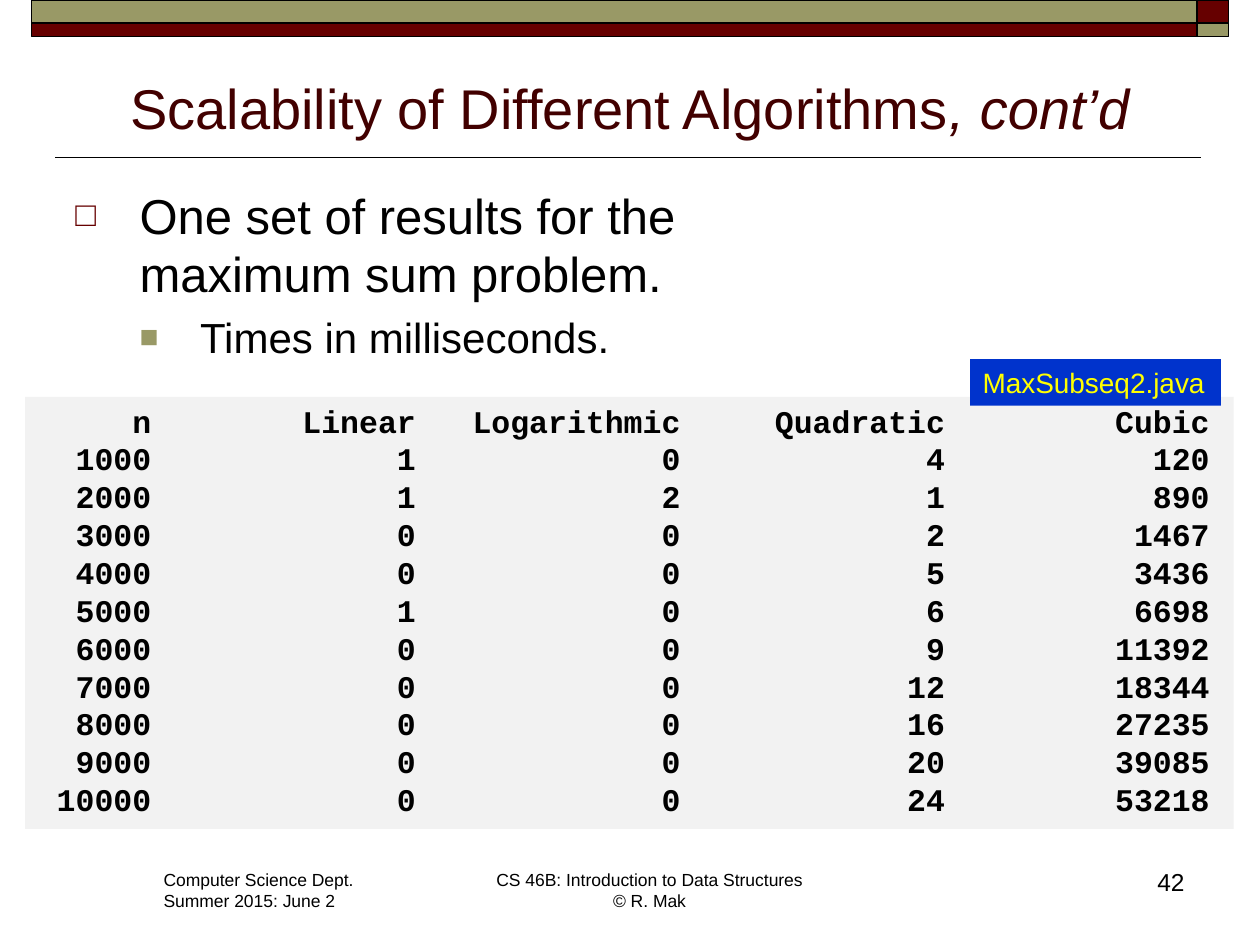
"""Build the slide on algorithm scalability on a grid of 40 columns by 30 rows."""
from dataclasses import dataclass

from lxml.etree import SubElement as Sub
from pptx import Presentation as Deck
from pptx.dml.color import RGBColor as Color
from pptx.enum.shapes import MSO_CONNECTOR as Link, MSO_SHAPE as Form
from pptx.enum.text import MSO_ANCHOR as Anchor, MSO_AUTO_SIZE as Fit, PP_ALIGN as Align
from pptx.oxml.ns import qn
from pptx.util import Inches, Pt


@dataclass(frozen=True)
class Theme:
    sans: str = "Arial"
    mono: str = "Courier New"
    ink: str = "000000"
    wine: str = "660000"
    olive: str = "999966"
    dark: str = "420000"
    pale: str = "F2F2F2"
    blue: str = "0033CC"
    yellow: str = "FFFF00"
    title: int = 32
    body: int = 28
    sub: int = 24
    code: int = 18
    tag: int = 16
    page: int = 14
    foot: int = 10


LOOK = Theme()
CELL = 0.25
PLAIN = "{2D5ABB26-0587-4C30-8999-92F81FD0307C}"
HEADS = ("n", "Linear", "Logarithmic", "Quadratic", "Cubic")
TIMES = (
    (1000, 1, 0, 4, 120),
    (2000, 1, 2, 1, 890),
    (3000, 0, 0, 2, 1467),
    (4000, 0, 0, 5, 3436),
    (5000, 1, 0, 6, 6698),
    (6000, 0, 0, 9, 11392),
    (7000, 0, 0, 12, 18344),
    (8000, 0, 0, 16, 27235),
    (9000, 0, 0, 20, 39085),
    (10000, 0, 0, 24, 53218),
)


def grid(*cells):
    return [Inches(cell * CELL) for cell in cells]


def write(para, text, size, color=LOOK.ink, font=LOOK.sans, bold=False,
          italic=False, align=None):
    if align is not None:
        para.alignment = align
    for i, line in enumerate(text.split("\n")):
        if i:
            para.add_line_break()
        run = para.add_run()
        run.text = line
        face = run.font
        face.name, face.size = font, Pt(size)
        face.bold, face.italic = bold, italic
        face.color.rgb = Color.from_string(color)


def block(slide, place, fill, edge=None):
    shape = slide.shapes.add_shape(Form.RECTANGLE, *grid(*place))
    shape.shadow.inherit = False
    shape.fill.solid()
    shape.fill.fore_color.rgb = Color.from_string(fill)
    if edge:
        shape.line.color.rgb = Color.from_string(edge)
        shape.line.width = Pt(1)
    else:
        shape.line.fill.background()
    return shape


def rule(slide, left, right, row):
    line = slide.shapes.add_connector(Link.STRAIGHT, *grid(left, row, right, row))
    line.line.color.rgb = Color.from_string(LOOK.ink)
    line.line.width = Pt(1)
    Sub(line._element.spPr, qn("a:effectLst"))


def label(slide, place, lines, size, wrap=False, align=None):
    frame = slide.shapes.add_textbox(*grid(*place)).text_frame
    frame.word_wrap = wrap
    for i, text in enumerate(lines):
        para = frame.add_paragraph() if i else frame.paragraphs[0]
        write(para, text, size, align=align)


def bullet(para, mark, color, share, left, hang):
    props = para._p.get_or_add_pPr()
    props.set("marL", str(Inches(left)))
    props.set("indent", str(-Inches(hang)))
    tint = Sub(props, qn("a:buClr"))
    Sub(tint, qn("a:srgbClr"), val=color)
    Sub(props, qn("a:buSzPct"), val=str(share * 1000))
    Sub(props, qn("a:buFont"), typeface=LOOK.sans)
    Sub(props, qn("a:buChar"), char=mark)


def header(slide):
    for left, width, fills in ((38, 1, (LOOK.wine, LOOK.olive)),
                               (1, 37, (LOOK.olive, LOOK.wine))):
        for top, height, fill in zip((0, 0.72), (0.72, 0.44), fills):
            block(slide, (left, top, width, height), fill, LOOK.ink)
    rule(slide, 1.76, 38.12, 5)


def title(slide):
    shape = slide.shapes.title
    shape.left, shape.top, shape.width, shape.height = grid(2, 1.8, 36, 2.88)
    frame = shape.text_frame
    frame.auto_size = Fit.NONE
    frame.vertical_anchor = Anchor.BOTTOM
    para = frame.paragraphs[0]
    write(para, "Scalability of Different Algorithms", LOOK.title, LOOK.dark,
          align=Align.CENTER)
    write(para, ", cont’d", LOOK.title, LOOK.dark, italic=True)


def points(slide):
    frame = slide.shapes.add_textbox(*grid(2, 5.68, 36, 6.52)).text_frame
    frame.word_wrap = True
    first, second = frame.paragraphs[0], frame.add_paragraph()
    second.level = 1
    for para, size in ((first, LOOK.body), (second, LOOK.sub)):
        para.space_before = Pt(size * 0.2)
    bullet(first, "□", LOOK.wine, 70, 0.51, 0.51)
    bullet(second, "■", LOOK.olive, 75, 0.99, 0.48)
    write(first, "One set of results for the \nmaximum sum problem.", LOOK.body)
    write(second, "Times in milliseconds.", LOOK.sub)


def results(slide):
    block(slide, (0.8, 12.6, 38.36, 13.72), LOOK.pale)
    rows = (HEADS, *TIMES)
    widths = (3.6, 8.4, 8.4, 8.4, 8.4)
    place = grid(1.2, 12.88, sum(widths), 1.2 * len(rows))
    table = slide.shapes.add_table(len(rows), len(HEADS), *place).table
    table.first_row = table.horz_banding = False
    table._tbl.tblPr.find(qn("a:tableStyleId")).text = PLAIN
    for col, width in zip(table.columns, grid(*widths)):
        col.width = width
    for r, row in enumerate(rows):
        for c, value in enumerate(row):
            cell = table.cell(r, c)
            cell.fill.background()
            cell.margin_left = cell.margin_right = 0
            cell.margin_top = cell.margin_bottom = 0
            cell.vertical_anchor = Anchor.MIDDLE
            write(cell.text_frame.paragraphs[0], str(value), LOOK.code,
                  font=LOOK.mono, bold=True, align=Align.RIGHT)


def tag(slide):
    frame = block(slide, (30.8, 11.4, 7.96, 1.48), LOOK.blue).text_frame
    frame.word_wrap = False
    write(frame.paragraphs[0], "MaxSubseq2.java", LOOK.tag, LOOK.yellow,
          align=Align.LEFT)


def footer(slide):
    label(slide, (4.8, 27.4, 6.92, 1.76),
          ("Computer Science Dept.", "Summer 2015: June 2"), LOOK.foot)
    label(slide, (15.28, 27.4, 10.68, 1.76),
          ("CS 46B: Introduction to Data Structures\n© R. Mak",), LOOK.foot,
          align=Align.CENTER)
    label(slide, (29.68, 27.32, 8.32, 2), ("42",), LOOK.page, wrap=True,
          align=Align.RIGHT)


def main():
    deck = Deck()
    deck.slide_width, deck.slide_height = grid(40, 30)
    slide = deck.slides.add_slide(deck.slide_layouts[5])
    for part in (header, footer, title, points, results, tag):
        part(slide)
    deck.save("out.pptx")


main()
